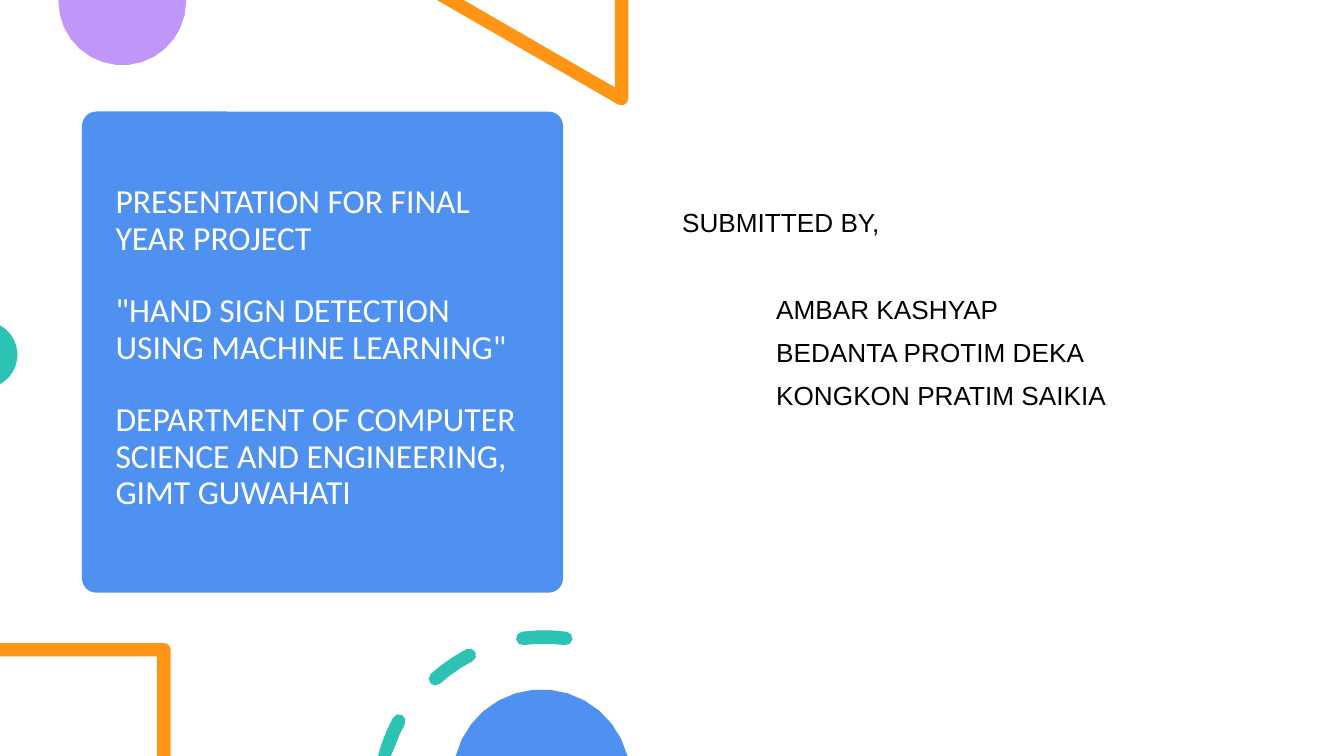
from dataclasses import dataclass
from math import ceil, cos, radians, sin

from pptx import Presentation as Deck
from pptx.dml.color import RGBColor as Rgb
from pptx.enum.shapes import MSO_SHAPE as Kind
from pptx.enum.text import MSO_ANCHOR as Anchor, PP_ALIGN as Align
from pptx.util import Emu, Inches, Pt

COLS, ROWS = 100, 56.25
CELL = Inches(10) // COLS
HUES = {
    "white": "FFFFFF", "black": "000000", "blue": "4E91F0",
    "teal": "2CC3B4", "lilac": "C097F8", "orange": "FF9514",
}

Point = tuple[float, float]
Loop = list[Point]
Box = tuple[float, float, float, float]


@dataclass(frozen=True)
class Panel:
    kind: Kind
    box: Box
    hue: str


@dataclass(frozen=True)
class Figure:
    hue: str
    loops: list[Loop]


@dataclass(frozen=True)
class Line:
    text: str
    gap: float = 0
    indent: float = 0


@dataclass(frozen=True)
class Block:
    box: Box
    lines: list[Line]
    font: str
    size: int
    hue: str
    anchor: Anchor
    top: float = 0.4


def cells(count: float) -> Emu:
    return Emu(round(count * CELL))


def arc(x: float, y: float, r: float, start: float, stop: float, step: int = 12) -> Loop:
    count = ceil(abs(stop - start) / step)
    turns = [radians(start + (stop - start) * i / count) for i in range(count + 1)]
    return [(x + r * sin(t), min(y - r * cos(t), ROWS)) for t in turns]


def dash(x: float, y: float, r: float, start: float, stop: float, half: float = 0.5) -> Loop:
    loop = arc(x, y, r + half, start, stop, 6)
    (end,) = arc(x, y, r, stop, stop + 1, 1)[:1]
    loop += arc(*end, half, stop, stop + 180, 45)[1:-1]
    loop += arc(x, y, r - half, stop, start, 6)
    (end,) = arc(x, y, r, start, start + 1, 1)[:1]
    if end[1] < ROWS:
        loop += arc(*end, half, start + 180, start + 360, 45)[1:-1]
    return loop


def paint(shape, hue: str) -> None:
    shape.shadow.inherit = False
    shape.fill.solid()
    shape.fill.fore_color.rgb = Rgb.from_string(HUES[hue])
    shape.line.fill.background()


def draw_figure(slide, figure: Figure) -> None:
    pen = None
    for loop in figure.loops:
        first, *rest = [(cells(x), cells(y)) for x, y in loop]
        if pen is None:
            pen = slide.shapes.build_freeform(*first)
        else:
            pen.move_to(*first)
        pen.add_line_segments(rest, close=True)
    paint(pen.convert_to_shape(), figure.hue)


def draw_panel(slide, panel: Panel) -> None:
    shape = slide.shapes.add_shape(panel.kind, *map(cells, panel.box))
    if panel.kind == Kind.ROUNDED_RECTANGLE:
        shape.adjustments[0] = 0.03
    paint(shape, panel.hue)


def draw_block(slide, block: Block) -> None:
    frame = slide.shapes.add_textbox(*map(cells, block.box)).text_frame
    looks = {
        "word_wrap": True, "vertical_anchor": block.anchor,
        "margin_left": cells(0.75), "margin_right": cells(0.75),
        "margin_top": cells(block.top), "margin_bottom": cells(0.4),
    }
    for name, value in looks.items():
        setattr(frame, name, value)
    for index, line in enumerate(block.lines):
        para = frame.add_paragraph() if index else frame.paragraphs[0]
        format = {"alignment": Align.LEFT, "line_spacing": 0.9, "space_before": Pt(line.gap)}
        for name, value in format.items():
            setattr(para, name, value)
        if line.indent:
            para._p.get_or_add_pPr().set("marL", str(cells(line.indent)))
        run = para.add_run()
        run.text = line.text
        for name, value in {"name": block.font, "size": Pt(block.size)}.items():
            setattr(run.font, name, value)
        run.font.color.rgb = Rgb.from_string(HUES[block.hue])


PANELS = [
    Panel(Kind.RECTANGLE, (0, 0, COLS, ROWS), "white"),
    Panel(Kind.ROUNDED_RECTANGLE, (6.1, 8.3, 35.8, 35.8), "blue"),
]
TITLE = Block(
    (7.85, 8.8, 32.3, 34.2),
    [
        Line("PRESENTATION FOR FINAL YEAR PROJECT"),
        Line('"HAND SIGN DETECTION USING MACHINE LEARNING"', 19.5),
        Line("DEPARTMENT OF COMPUTER SCIENCE AND ENGINEERING, GIMT GUWAHATI", 19.5),
    ],
    "Calibri", 18, "white", Anchor.MIDDLE,
)
AUTHORS = Block(
    (50, 6.8, 43.1, 40.1),
    [
        Line("SUBMITTED BY,"),
        Line("AMBAR KASHYAP", 31.6, 7),
        Line("BEDANTA PROTIM DEKA", 8, 7),
        Line("KONGKON PRATIM SAIKIA", 8, 7),
    ],
    "Arial", 14, "black", Anchor.TOP, 8.8,
)
WEDGE = [(46.75, 0), *arc(46.25, 7.35, 0.5, 90, 210, 40),
         (32.5, 0), (34.5, 0), (45.75, 6.5), (45.75, 0)]
CORNER = [(0, 47.85), *arc(12.2, 48.35, 0.5, 0, 90, 30),
          (12.7, ROWS), (11.7, ROWS), (11.7, 48.85), (0, 48.85)]
SPANS = [(12.3, -75.3, -61.6), (12.1, -42, -27.4), (12.1, -7.6, 7.6)]
FIGURES = [
    Figure("lilac", [arc(9.1, 0.1, 4.75, 90, 270) + [(4.35, 0), (13.85, 0)]]),
    Figure("orange", [WEDGE]),
    Figure("teal", [arc(-1.2, 26.4, 2.5, 28.7, 151.3)]),
    Figure("orange", [CORNER]),
    Figure("teal", [dash(40.5, 59.5, *span) for span in SPANS]),
    Figure("blue", [arc(40.3, 57.9, 6.6, -75.5, 75.5)]),
]


def main() -> None:
    deck = Deck()
    for name, count in {"slide_width": COLS, "slide_height": ROWS}.items():
        setattr(deck, name, cells(count))
    slide = deck.slides.add_slide(deck.slide_layouts[6])
    for panel in PANELS:
        draw_panel(slide, panel)
    for block in (TITLE, AUTHORS):
        draw_block(slide, block)
    for figure in FIGURES:
        draw_figure(slide, figure)
    deck.save("out.pptx")


if __name__ == "__main__":
    main()
